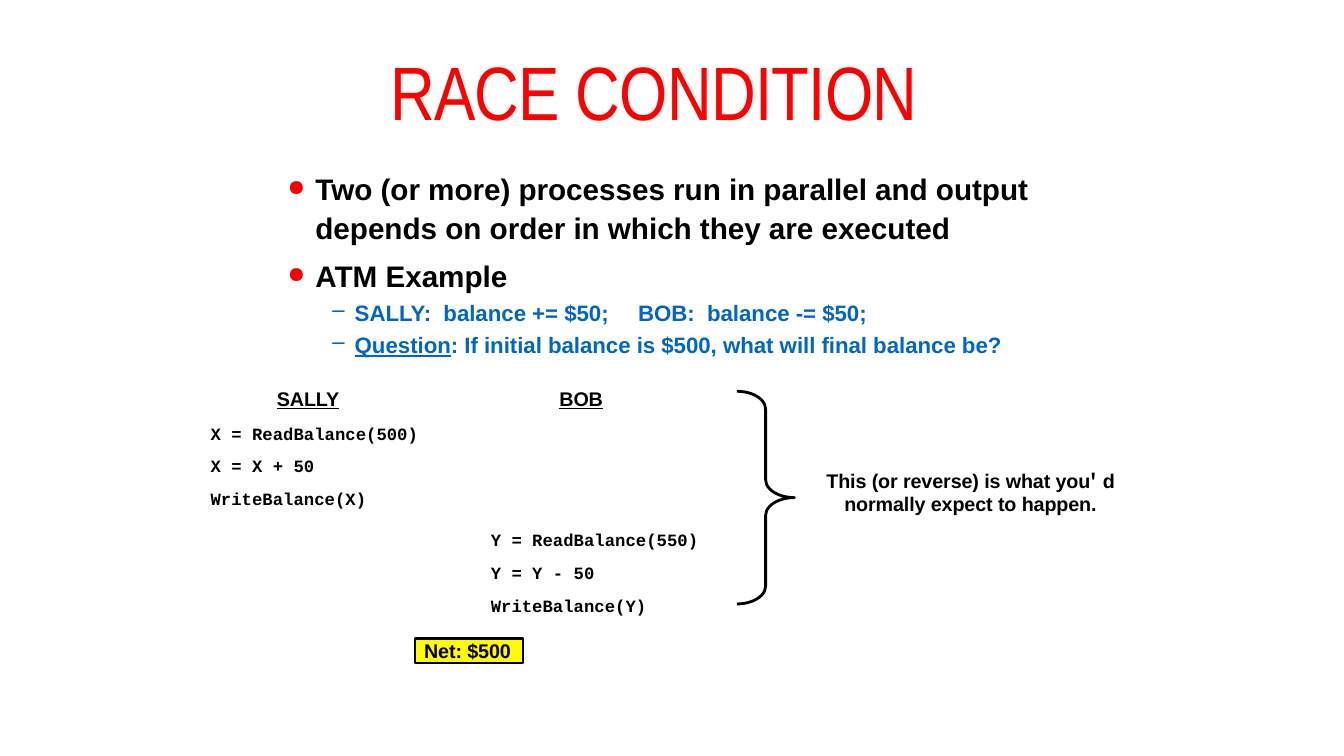
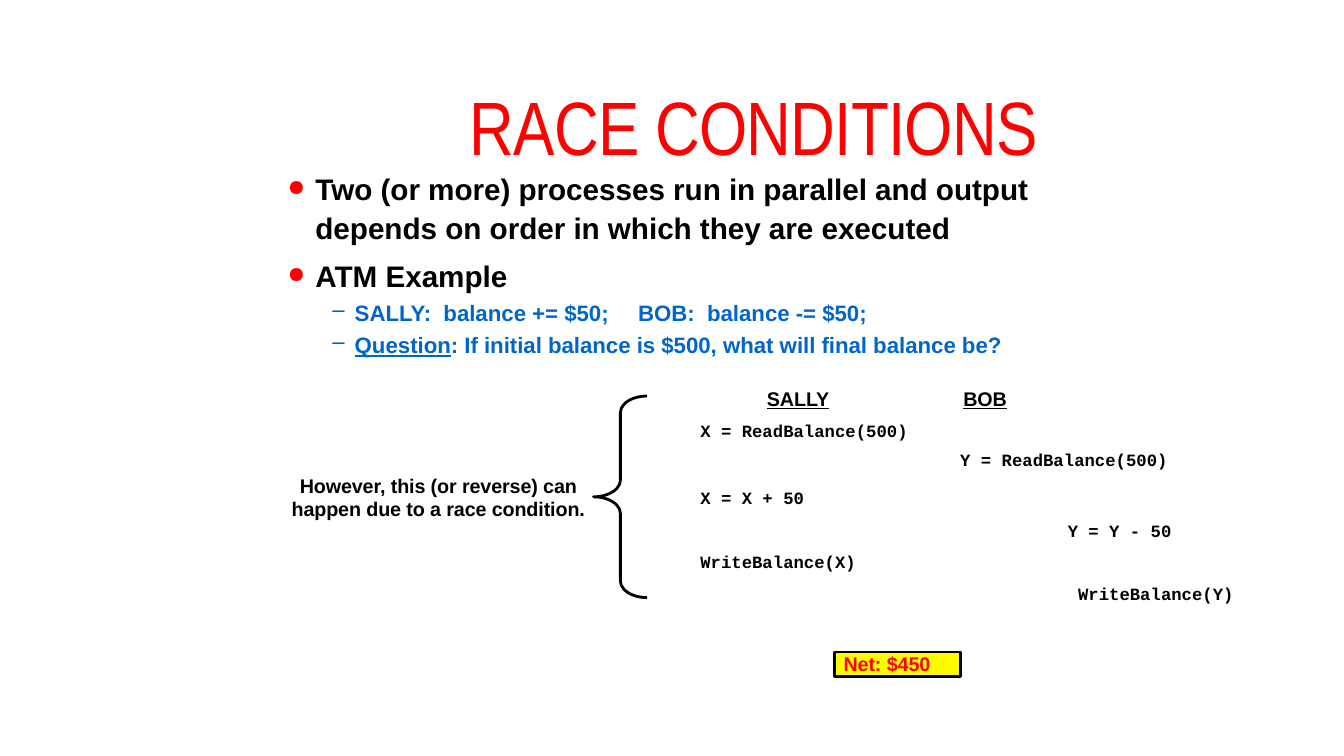
import dataclasses

import lxml.etree
import pptx
import pptx.dml.color
import pptx.enum.shapes
import pptx.enum.text
import pptx.oxml.ns
import pptx.slide
import pptx.text.text
import pptx.util

Cm = pptx.util.Cm
Pt = pptx.util.Pt
BRACES = pptx.enum.shapes.MSO_SHAPE


# Theme and content types
@dataclasses.dataclass(frozen=True)
class Theme:
    red: str = "FF0000"
    black: str = "000000"
    blue: str = "0066CC"
    yellow: str = "FFFB00"
    sans: str = "Arial"
    narrow: str = "Arial Narrow"
    mono: str = "Courier New"
    apostrophe: str = "Noto Sans CJK JP"
    title_size: float = 54
    topic_size: float = 21.2
    detail_size: float = 15.9
    label_size: float = 14.1
    code_size: float = 12.3
    border: float = 2


THEME = Theme()


@dataclasses.dataclass(frozen=True)
class Style:
    font: str
    size: float
    color: str
    bold: bool = True
    underline: bool = False
    tracking: float = 0


TITLE = Style(THEME.narrow, THEME.title_size, THEME.red, bold=False, tracking=-0.55)
TOPIC = Style(THEME.sans, THEME.topic_size, THEME.black, tracking=-0.05)
DETAIL = Style(THEME.sans, THEME.detail_size, THEME.blue, tracking=-0.05)
LABEL = Style(THEME.sans, THEME.label_size, THEME.black, tracking=-0.05)
HEADING = dataclasses.replace(LABEL, underline=True)
CODE = Style(THEME.mono, THEME.code_size, THEME.black)


@dataclasses.dataclass(frozen=True)
class Box:
    """A rectangle in centimetres."""
    left: float
    top: float
    width: float
    height: float

    def emu(self) -> tuple[int, ...]:
        return tuple(Cm(side) for side in dataclasses.astuple(self))


@dataclasses.dataclass(frozen=True)
class Bullet:
    text: str
    level: int
    before: float = 0
    spacing: float | int | None = None
    underlined: str = ""
    tab: float | None = None


@dataclasses.dataclass(frozen=True)
class Code:
    left: float
    top: float
    lines: tuple[str, ...]


@dataclasses.dataclass(frozen=True)
class Scenario:
    title: str
    title_box: Box
    sally_left: float
    bob_left: float
    steps: tuple[Code, ...]
    brace: BRACES
    brace_box: Box
    note: str
    note_box: Box
    net: str
    net_box: Box
    net_color: str


# Content
BULLETS = (
    Bullet("Two (or more) processes run in parallel and output "
           "depends on order in which they are executed", 0, spacing=1.08),
    Bullet("ATM Example", 0, before=9.2),
    Bullet("SALLY:  balance += $50;\tBOB:  balance -= $50;", 1, before=4, tab=8.84),
    Bullet(": If initial balance is $500, what will final balance be?", 1,
           before=3.9, spacing=Pt(18.9), underlined="Question"),
)
BULLET_BOX = Box(7.24, 4.24, 19, 4.83)
HEADING_TOP = 9.75

SCENARIOS = (
    Scenario(
        "RACE CONDITION", Box(9.83, 1.12, 15, 2.31), 6.98, 14.1,
        (
            Code(5.31, 10.66, ("X = ReadBalance(500)", "X = X + 50", "WriteBalance(X)")),
            Code(12.37, 13.35, ("Y = ReadBalance(550)", "Y = Y - 50", "WriteBalance(Y)")),
        ),
        BRACES.RIGHT_BRACE, Box(18.57, 9.86, 1.45, 5.36),
        "This (or reverse) is what you'd normally expect to happen.",
        Box(20.66, 11.81, 7.6, 1.22),
        "Net: $500", Box(10.46, 16.1, 2.72, 0.61), THEME.black,
    ),
    Scenario(
        "RACE CONDITIONS", Box(11.84, 2.01, 16, 2.31), 19.33, 24.28,
        (
            Code(17.65, 10.6, ("X = ReadBalance(500)",)),
            Code(24.2, 11.32, ("Y = ReadBalance(500)",)),
            Code(17.65, 12.28, ("X = X + 50",)),
            Code(26.91, 13.1, ("Y = Y - 50",)),
            Code(17.65, 13.9, ("WriteBalance(X)",)),
            Code(27.17, 14.71, ("WriteBalance(Y)",)),
        ),
        BRACES.LEFT_BRACE, Box(14.96, 9.98, 1.35, 5.08),
        "However, this (or reverse) can happen due to a race condition.",
        Box(7.2, 11.94, 7.7, 1.22),
        "Net: $450", Box(21.03, 16.43, 3.18, 0.61), THEME.red,
    ),
)


# Text helpers
def rgb(color: str) -> pptx.dml.color.RGBColor:
    return pptx.dml.color.RGBColor.from_string(color)


def format_run(run: pptx.text.text._Run, style: Style) -> None:
    run.font.name = style.font
    run.font.size = Pt(style.size)
    run.font.bold = style.bold
    run.font.underline = style.underline
    run.font.color.rgb = rgb(style.color)
    if style.tracking:
        run.font._element.set("spc", str(round(style.tracking * 100)))


def fill_paragraph(paragraph: pptx.text.text._Paragraph,
                   *pieces: tuple[str, Style]) -> None:
    for text, style in pieces:
        run = paragraph.add_run()
        run.text = text
        format_run(run, style)


def clear_insets(frame: pptx.text.text.TextFrame) -> None:
    frame.margin_left = frame.margin_right = 0
    frame.margin_top = frame.margin_bottom = 0
    frame.word_wrap = True


def add_text(slide: pptx.slide.Slide, box: Box, text: str,
             style: Style) -> pptx.text.text.TextFrame:
    frame = slide.shapes.add_textbox(*box.emu()).text_frame
    clear_insets(frame)
    frame.text = text
    for paragraph in frame.paragraphs:
        for run in paragraph.runs:
            format_run(run, style)
    return frame


def add_xml(parent: lxml.etree._Element, tag: str,
            **attributes: str) -> lxml.etree._Element:
    return lxml.etree.SubElement(parent, pptx.oxml.ns.qn(tag), attributes)


# Slide parts
def add_title(slide: pptx.slide.Slide, text: str, box: Box) -> None:
    frame = add_text(slide, box, text, TITLE)
    frame.vertical_anchor = pptx.enum.text.MSO_ANCHOR.MIDDLE


def add_bullets(slide: pptx.slide.Slide) -> None:
    frame = add_text(slide, BULLET_BOX, "", TOPIC)
    for index, bullet in enumerate(BULLETS):
        paragraph = frame.add_paragraph() if index else frame.paragraphs[0]
        style = DETAIL if bullet.level else TOPIC
        if bullet.underlined:
            underlined = dataclasses.replace(style, underline=True)
            fill_paragraph(paragraph, (bullet.underlined, underlined))
        fill_paragraph(paragraph, (bullet.text, style))
        paragraph.level = bullet.level
        paragraph.space_before = Pt(bullet.before)
        paragraph.line_spacing = bullet.spacing

        # Hanging indent, bullet sign and tab stop
        margin, hanging, sign = ((0.71, 0.7, "●"), (1.7, 0.56, "–"))[bullet.level]
        properties = paragraph._p.get_or_add_pPr()
        properties.set("marL", str(Cm(margin)))
        properties.set("indent", str(-Cm(hanging)))
        if bullet.level == 0:
            add_xml(add_xml(properties, "a:buClr"), "a:srgbClr", val=THEME.red)
            add_xml(properties, "a:buSzPct", val="75000")
        add_xml(properties, "a:buChar", char=sign)
        if bullet.tab:
            stops = add_xml(properties, "a:tabLst")
            add_xml(stops, "a:tab", pos=str(Cm(bullet.tab)), algn="l")


def add_code(slide: pptx.slide.Slide, code: Code) -> None:
    box = Box(code.left, code.top, 6, 0.8 * len(code.lines))
    frame = add_text(slide, box, "\n".join(code.lines), CODE)
    for paragraph in frame.paragraphs[1:]:
        paragraph.space_before = Pt(8.6)


def add_brace(slide: pptx.slide.Slide, kind: BRACES, box: Box) -> None:
    brace = slide.shapes.add_shape(kind, *box.emu())
    brace.shadow.inherit = False
    brace.adjustments[0] = 0.31
    brace.fill.background()
    brace.line.color.rgb = rgb(THEME.black)
    brace.line.width = Pt(THEME.border)


def add_note(slide: pptx.slide.Slide, text: str, box: Box) -> None:
    paragraph = add_text(slide, box, "", LABEL).paragraphs[0]
    before, apostrophe, after = text.partition("'")
    fill_paragraph(paragraph, (before, LABEL))
    if apostrophe:
        wide = dataclasses.replace(LABEL, font=THEME.apostrophe, tracking=4.1)
        fill_paragraph(paragraph, (apostrophe, wide), (after, LABEL))
    paragraph.alignment = pptx.enum.text.PP_ALIGN.CENTER
    paragraph.line_spacing = Pt(16.8)


def add_net(slide: pptx.slide.Slide, text: str, box: Box, color: str) -> None:
    net = slide.shapes.add_shape(BRACES.RECTANGLE, *box.emu())
    net.shadow.inherit = False
    net.fill.solid()
    net.fill.fore_color.rgb = rgb(THEME.yellow)
    net.line.color.rgb = rgb(THEME.black)
    net.line.width = Pt(THEME.border)
    frame = net.text_frame
    clear_insets(frame)
    frame.margin_left = Cm(0.23)
    frame.vertical_anchor = pptx.enum.text.MSO_ANCHOR.TOP
    frame.text = text
    paragraph = frame.paragraphs[0]
    paragraph.alignment = pptx.enum.text.PP_ALIGN.LEFT
    format_run(paragraph.runs[0], dataclasses.replace(LABEL, color=color))


def add_scenario(slide: pptx.slide.Slide, scenario: Scenario) -> None:
    add_title(slide, scenario.title, scenario.title_box)
    add_bullets(slide)
    for name, left in (("SALLY", scenario.sally_left), ("BOB", scenario.bob_left)):
        add_text(slide, Box(left, HEADING_TOP, 2, 0.61), name, HEADING)
    for code in scenario.steps:
        add_code(slide, code)
    add_brace(slide, scenario.brace, scenario.brace_box)
    add_note(slide, scenario.note, scenario.note_box)
    add_net(slide, scenario.net, scenario.net_box, scenario.net_color)


def main() -> None:
    deck = pptx.Presentation()
    deck.slide_width, deck.slide_height = Cm(33.87), Cm(19.05)
    blank = deck.slide_layouts[6]
    for scenario in SCENARIOS:
        add_scenario(deck.slides.add_slide(blank), scenario)
    deck.save("out.pptx")


if __name__ == "__main__":
    main()
